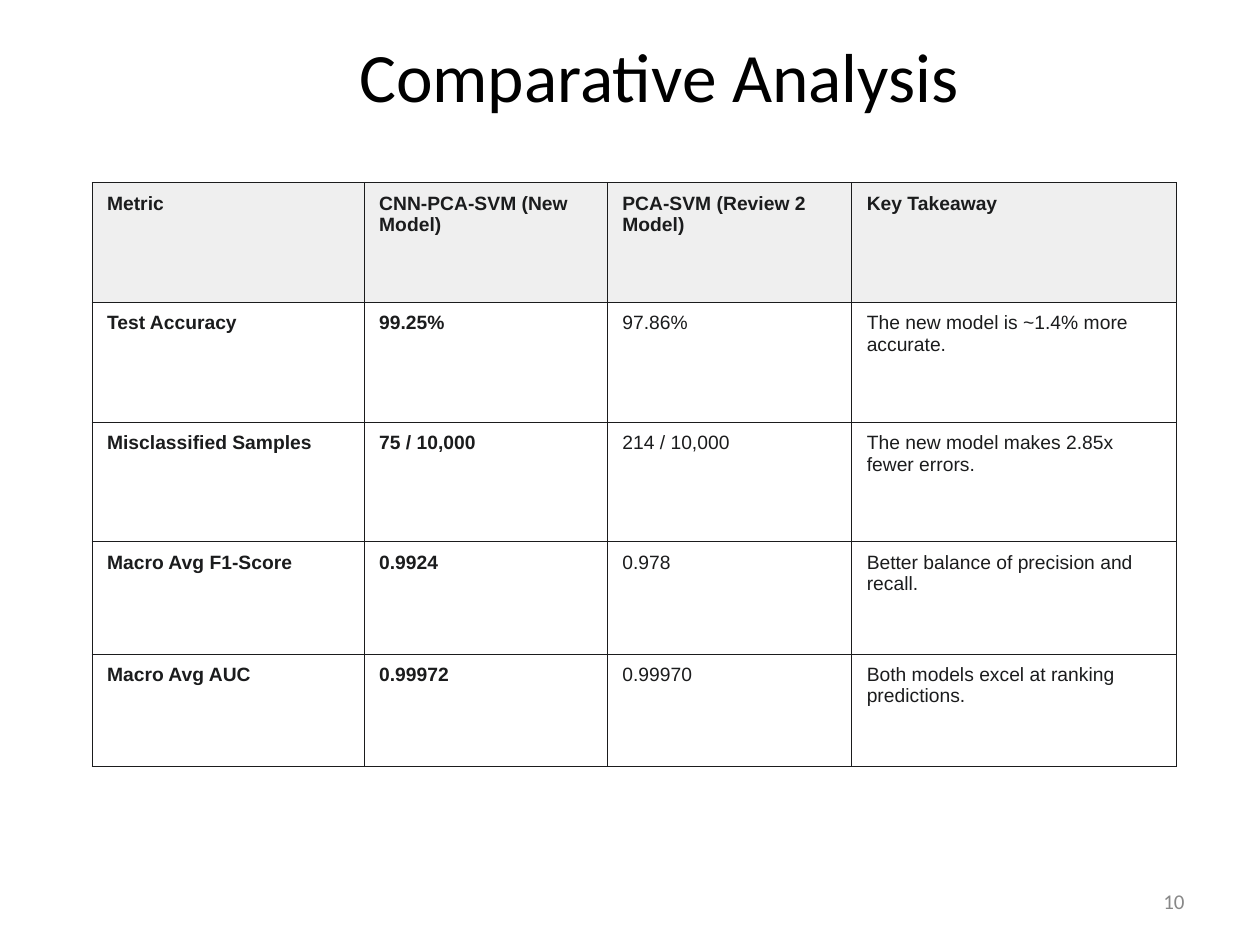
from lxml import etree
from pptx import Presentation
from pptx.dml.color import RGBColor
from pptx.enum.text import MSO_ANCHOR, PP_ALIGN
from pptx.oxml.ns import qn
from pptx.util import Inches, Pt

CENTER, LEFT, RIGHT = PP_ALIGN.CENTER, PP_ALIGN.LEFT, PP_ALIGN.RIGHT
MIDDLE, BOTTOM = MSO_ANCHOR.MIDDLE, MSO_ANCHOR.BOTTOM

BLACK = RGBColor(0x00, 0x00, 0x00)
INK = RGBColor(0x1B, 0x1C, 0x1D)
GRAY = RGBColor(0x88, 0x88, 0x88)
HEADER_FILL = RGBColor(0xEF, 0xEF, 0xEF)

TITLE_ONLY = 5
TABLE_LEFT, TABLE_TOP = 0.73, 1.45
COLUMN_WIDTHS = [2.16, 1.93, 1.94, 2.58]
ROW_HEIGHTS = [0.95, 0.95, 0.95, 0.89, 0.89]
BOLD_COLUMNS = 2
COMPARISON = [
    ("Metric", "CNN-PCA-SVM (New Model)", "PCA-SVM (Review 2 Model)", "Key Takeaway"),
    ("Test Accuracy", "99.25%", "97.86%", "The new model is ~1.4% more accurate."),
    ("Misclassified Samples", "75 / 10,000", "214 / 10,000",
     "The new model makes 2.85x fewer errors."),
    ("Macro Avg F1-Score", "0.9924", "0.978", "Better balance of precision and recall."),
    ("Macro Avg AUC", "0.99972", "0.99970", "Both models excel at ranking predictions."),
]


def write(frame, text, *, size, color, font="Calibri", bold=False, align=LEFT, after=0):
    frame.word_wrap = True
    para = frame.paragraphs[0]
    para.alignment = align
    para.space_after = Pt(after)
    span = para.add_run()
    span.text = text
    span.font.name = font
    span.font.size = Pt(size)
    span.font.bold = bold
    span.font.color.rgb = color


def add_title(page, text):
    title = page.shapes.title
    title.left, title.top = Inches(TABLE_LEFT), Inches(-0.33)
    title.width, title.height = Inches(9), Inches(1.25)
    frame = title.text_frame
    frame.vertical_anchor = BOTTOM
    frame.margin_bottom = 0
    write(frame, text, size=39.6, color=BLACK, align=CENTER)


def add_page_number(page, text):
    box = page.shapes.add_textbox(Inches(7.17), Inches(6.95), Inches(2.33), Inches(0.4))
    box.text_frame.vertical_anchor = MIDDLE
    write(box.text_frame, text, size=12, color=GRAY, align=RIGHT)


def add_borders(cell, color, width):
    """Draw the four edges; they must precede the fill in the cell properties."""
    properties = cell._tc.get_or_add_tcPr()
    for position, edge in enumerate(("a:lnL", "a:lnR", "a:lnT", "a:lnB")):
        line = etree.Element(qn(edge), w=str(Pt(width)))
        fill = etree.SubElement(line, qn("a:solidFill"))
        etree.SubElement(fill, qn("a:srgbClr"), val=str(color))
        properties.insert(position, line)


def format_cell(cell, text, *, header, bold):
    cell.margin_left = cell.margin_right = Inches(0.12)
    cell.margin_top = cell.margin_bottom = Inches(0.08)
    if header:
        cell.fill.solid()
        cell.fill.fore_color.rgb = HEADER_FILL
    else:
        cell.fill.background()
    add_borders(cell, INK, 0.5)
    write(cell.text_frame, text, size=11, color=INK, font="Arial", bold=bold, after=24)


def add_comparison_table(page):
    table = page.shapes.add_table(
        len(ROW_HEIGHTS), len(COLUMN_WIDTHS), Inches(TABLE_LEFT), Inches(TABLE_TOP),
        Inches(sum(COLUMN_WIDTHS)), Inches(sum(ROW_HEIGHTS))).table
    table.horz_banding = False
    for column, width in zip(table.columns, COLUMN_WIDTHS):
        column.width = Inches(width)
    for row_index, (row, height) in enumerate(zip(table.rows, ROW_HEIGHTS)):
        row.height = Inches(height)
        header = row_index == 0
        for column_index, text in enumerate(COMPARISON[row_index]):
            format_cell(row.cells[column_index], text, header=header,
                        bold=header or column_index < BOLD_COLUMNS)


def main():
    deck = Presentation()
    deck.slide_width, deck.slide_height = Inches(10), Inches(7.5)
    page = deck.slides.add_slide(deck.slide_layouts[TITLE_ONLY])
    add_title(page, "Comparative Analysis")
    add_page_number(page, "10")
    add_comparison_table(page)
    deck.save("out.pptx")


if __name__ == "__main__":
    main()
